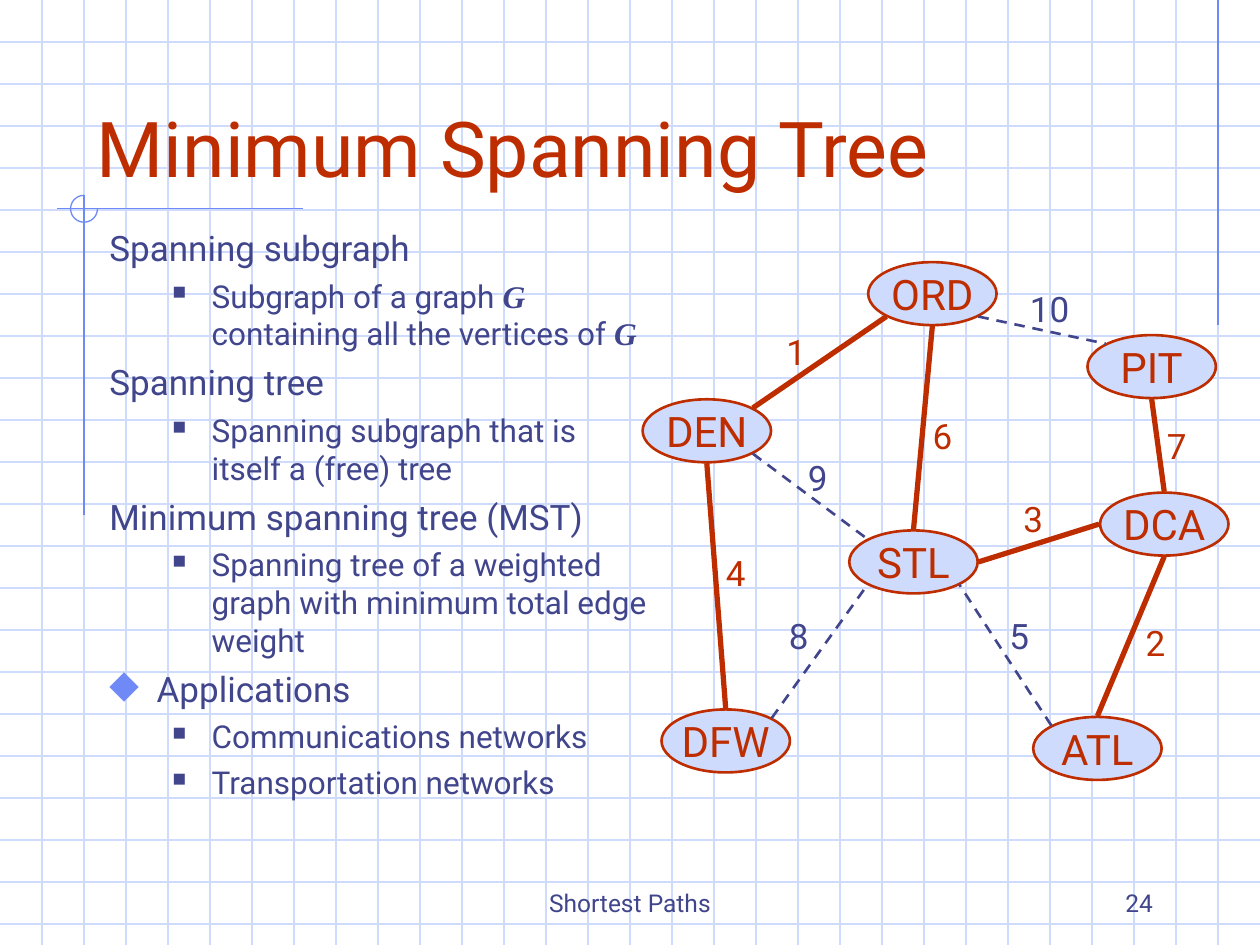
"""Build the Minimum Spanning Tree slide: a grid backdrop, an outline and a weighted graph."""
from math import sqrt

from lxml import etree
from pptx import Presentation
from pptx.dml.color import RGBColor
from pptx.enum.dml import MSO_LINE
from pptx.enum.shapes import MSO_CONNECTOR, MSO_SHAPE
from pptx.enum.text import MSO_ANCHOR, MSO_AUTO_SIZE, PP_ALIGN
from pptx.oxml.ns import qn
from pptx.util import Pt

STRAIGHT = MSO_CONNECTOR.STRAIGHT
OVAL, ARC = MSO_SHAPE.OVAL, MSO_SHAPE.ARC
DASH = MSO_LINE.DASH
LEFT, CENTER, RIGHT = PP_ALIGN.LEFT, PP_ALIGN.CENTER, PP_ALIGN.RIGHT
TOP, MIDDLE, BOTTOM = MSO_ANCHOR.TOP, MSO_ANCHOR.MIDDLE, MSO_ANCHOR.BOTTOM
NO_FIT = MSO_AUTO_SIZE.NONE

COLORS = {"grid": "CFDBFD", "accent": "6F89F7", "red": "BE2D00", "ink": "40458C"}
SANS, SERIF = "Roboto", "Times New Roman"
WIDTH, HEIGHT, STEP = 720, 540, 24
NODE_W, NODE_H = 73.4, 36

BULLETS = {"square": ("■", "ink", 60), "diamond": ("◆", "accent", 110)}
LEVELS = [
    {"size": 20, "margin": 27, "indent": -27, "before": 5},
    {"size": 18, "margin": 58.5, "indent": -22.5, "before": 4.5},
]
OUTLINE = [
    (0, None, ["Spanning subgraph"]),
    (1, "square", ["Subgraph of a graph ", "G", " containing all the vertices of ", "G"]),
    (0, None, ["Spanning tree"]),
    (1, "square", ["Spanning subgraph that is itself a (free) tree"]),
    (0, None, ["Minimum spanning tree (MST)"]),
    (1, "square", ["Spanning tree of a weighted graph with minimum total edge weight"]),
    (0, "diamond", ["Applications"]),
    (1, "square", ["Communications networks"]),
    (1, "square", ["Transportation networks"]),
]

NODES = {
    "ORD": (532.8, 167.8), "PIT": (658.1, 209.5), "ATL": (627.1, 427.7),
    "STL": (522, 321.1), "DEN": (403.9, 246.2), "DFW": (414.7, 423.4),
    "DCA": (665.3, 299.5),
}
DIAG = sqrt(0.5)
SITES = {
    "N": (0, -1), "S": (0, 1), "W": (-1, 0), "E": (1, 0),
    "NE": (DIAG, -DIAG), "NW": (-DIAG, -DIAG), "SE": (DIAG, DIAG), "SW": (-DIAG, DIAG),
}
EDGES = [
    ("DEN", "NE", "ORD", "SW", "1", True, (455, 200.9)),
    ("STL", "N", "ORD", "S", "6", True, (538.6, 249.1)),
    ("STL", "E", "DCA", "W", "3", True, (590.4, 296.6)),
    ("DCA", "N", "PIT", "S", "7", True, (672.5, 254.9)),
    ("ORD", "SE", "PIT", "NW", "10", False, (599.8, 176.4)),
    ("DEN", "S", "DFW", "N", "4", True, (420.5, 327.6)),
    ("DCA", "S", "ATL", "N", "2", True, (660.2, 367.2)),
    ("ATL", "NW", "STL", "SE", "5", False, (582.5, 363.6)),
    ("DFW", "NE", "STL", "SW", "8", False, (456.5, 363.6)),
    ("DEN", "SE", "STL", "NW", "9", False, (467.3, 272.9)),
]


def rgb(name):
    return RGBColor.from_string(COLORS[name])


def write(p, text, size=20, color="ink", font=SANS, bold=False, italic=False, align=LEFT):
    p.alignment = align
    r = p.add_run()
    r.text = text
    f = r.font
    f.size, f.name, f.bold, f.italic = Pt(size), font, bold, italic
    f.color.rgb = rgb(color)


def add_box(s, x, y, w, h, anchor=TOP, wrap=True):
    tf = s.shapes.add_textbox(Pt(x), Pt(y), Pt(w), Pt(h)).text_frame
    tf.word_wrap, tf.vertical_anchor = wrap, anchor
    return tf


def add_line(s, x1, y1, x2, y2, color, width=0.75, dash=None):
    c = s.shapes.add_connector(STRAIGHT, Pt(x1), Pt(y1), Pt(x2), Pt(y2))
    c.line.color.rgb, c.line.width = rgb(color), Pt(width)
    if dash:
        c.line.dash_style = dash
    etree.SubElement(c.element.spPr, qn("a:effectLst"))


def add_backdrop(s):
    for y in range(STEP, HEIGHT, STEP):
        add_line(s, 0, y, WIDTH, y, "grid")
    for x in range(STEP, WIDTH, STEP):
        add_line(s, x, 0, x, HEIGHT, "grid")
    for ends in [(696, 0, 696, 186), (173, 119.3, 32.5, 119.3), (48, 111.6, 48, 294.5)]:
        add_line(s, *ends, "accent")
    ring = s.shapes.add_shape(ARC, Pt(40.3), Pt(111.6), Pt(15.4), Pt(15.4))
    ring.adjustments[0], ring.adjustments[1] = 0, 162
    ring.shadow.inherit = False
    ring.fill.background()
    ring.line.color.rgb, ring.line.width = rgb("accent"), Pt(0.75)


def add_title(s, text):
    sp = s.shapes.title
    sp.element.getparent().append(sp.element)
    sp.left, sp.top, sp.width, sp.height = Pt(48), Pt(24), Pt(612), Pt(90)
    tf = sp.text_frame
    tf.vertical_anchor, tf.auto_size = BOTTOM, NO_FIT
    write(tf.paragraphs[0], text, size=44, color="red")


def set_bullet(p, level, bullet):
    pPr = p._p.get_or_add_pPr()
    pPr.set("marL", str(Pt(level["margin"])))
    pPr.set("indent", str(Pt(level["indent"])))
    if bullet:
        char, color, percent = BULLETS[bullet]
        clr = etree.SubElement(pPr, qn("a:buClr"))
        etree.SubElement(clr, qn("a:srgbClr"), val=COLORS[color])
        etree.SubElement(pPr, qn("a:buSzPct"), val=str(percent * 1000))
        etree.SubElement(pPr, qn("a:buChar"), char=char)
    else:
        etree.SubElement(pPr, qn("a:buNone"))


def add_outline(s):
    tf = add_box(s, 55.4, 126, 322, 372)
    for i, (depth, bullet, parts) in enumerate(OUTLINE):
        p = tf.add_paragraph() if i else tf.paragraphs[0]
        level = LEVELS[depth]
        p.level = depth
        set_bullet(p, level, bullet)
        p.space_before = Pt(level["before"] if i else 0)
        for text in parts:
            symbol = text == "G"
            write(p, text, size=level["size"], font=SERIF if symbol else SANS,
                  bold=symbol, italic=symbol)


def add_node(s, name, x, y):
    sp = s.shapes.add_shape(OVAL, Pt(x - NODE_W / 2), Pt(y - NODE_H / 2), Pt(NODE_W), Pt(NODE_H))
    sp.shadow.inherit = False
    sp.fill.solid()
    sp.fill.fore_color.rgb = rgb("grid")
    sp.line.color.rgb, sp.line.width = rgb("red"), Pt(1.5)
    tf = sp.text_frame
    tf.word_wrap, tf.vertical_anchor = False, MIDDLE
    write(tf.paragraphs[0], name, size=24, color="red", align=CENTER)


def site_point(node, site):
    (x, y), (dx, dy) = NODES[node], SITES[site]
    return x + dx * (NODE_W + 1) / 2, y + dy * (NODE_H + 1) / 2


def add_edge(s, start, start_site, end, end_site, weight, in_tree, label_at):
    color, width, dash = ("red", 3, None) if in_tree else ("ink", 1.5, DASH)
    add_line(s, *site_point(start, start_site), *site_point(end, end_site), color, width, dash)
    x, y = label_at
    w, h = 14.4 + 11.5 * len(weight), 31.5
    tf = add_box(s, x - w / 2, y - h / 2, w, h, wrap=False)
    write(tf.paragraphs[0], weight, color=color, align=CENTER)


def add_footer(s, text, x, w, align):
    tf = add_box(s, x, 492, w, 36, anchor=BOTTOM)
    write(tf.paragraphs[0], text, size=14, align=align)


def main():
    prs = Presentation()
    prs.slide_width, prs.slide_height = Pt(WIDTH), Pt(HEIGHT)
    s = prs.slides.add_slide(prs.slide_layouts[5])
    add_backdrop(s)
    add_title(s, "Minimum Spanning Tree")
    add_outline(s)
    for name, center in NODES.items():
        add_node(s, name, *center)
    for edge in EDGES:
        add_edge(s, *edge)
    add_footer(s, "Shortest Paths", 246, 228, CENTER)
    add_footer(s, "24", 516, 150, RIGHT)
    prs.save("out.pptx")


if __name__ == "__main__":
    main()
